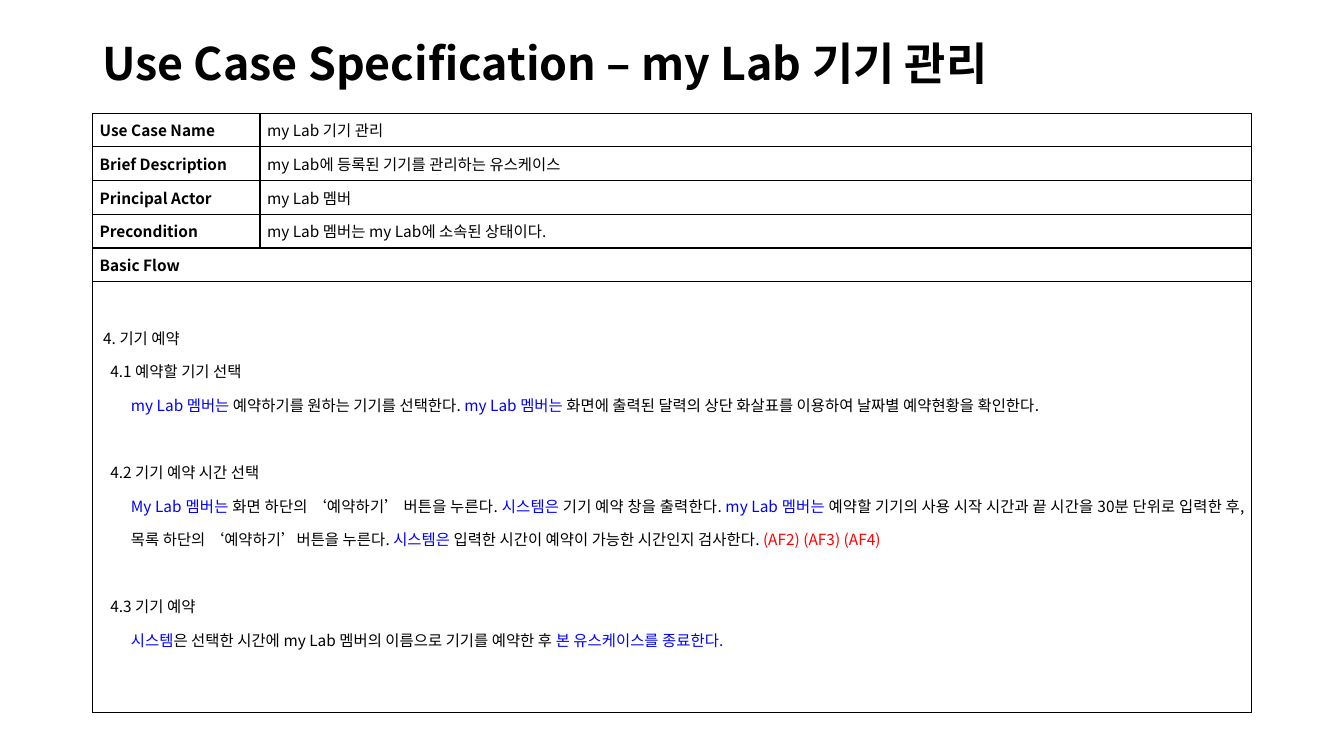
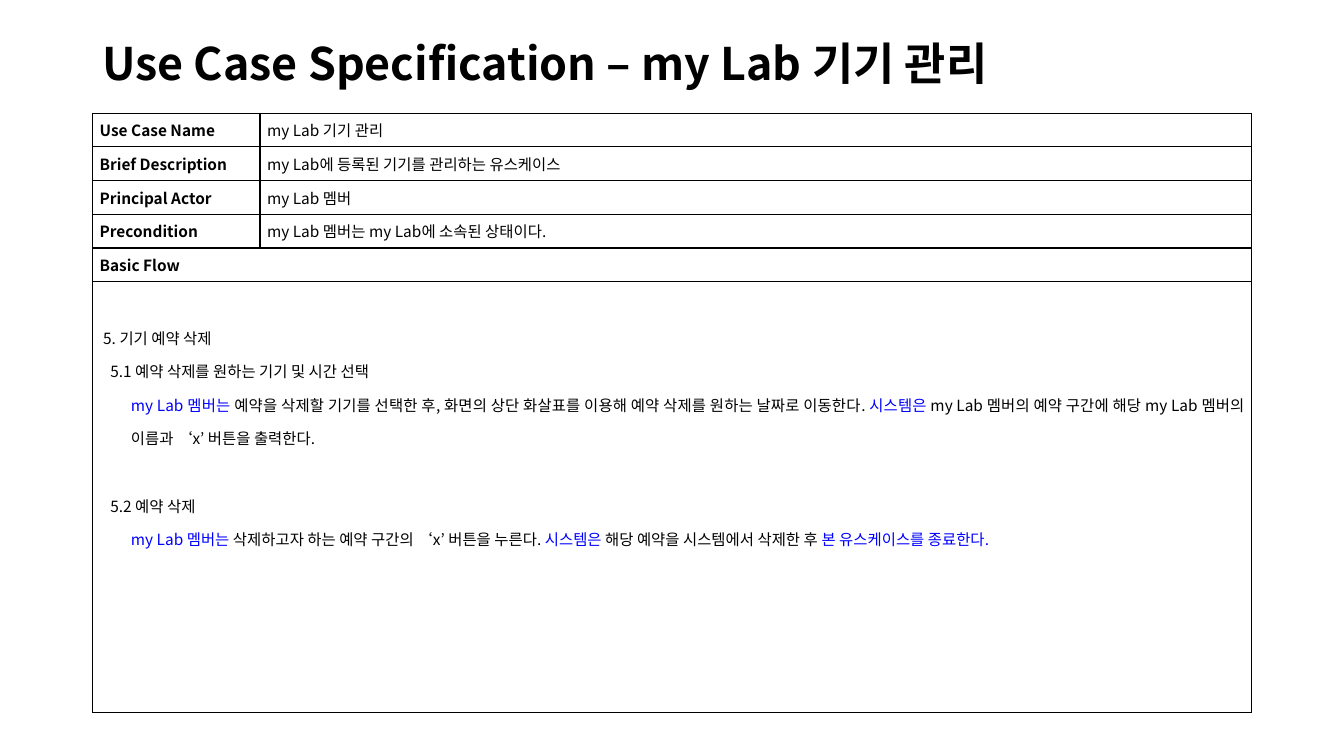
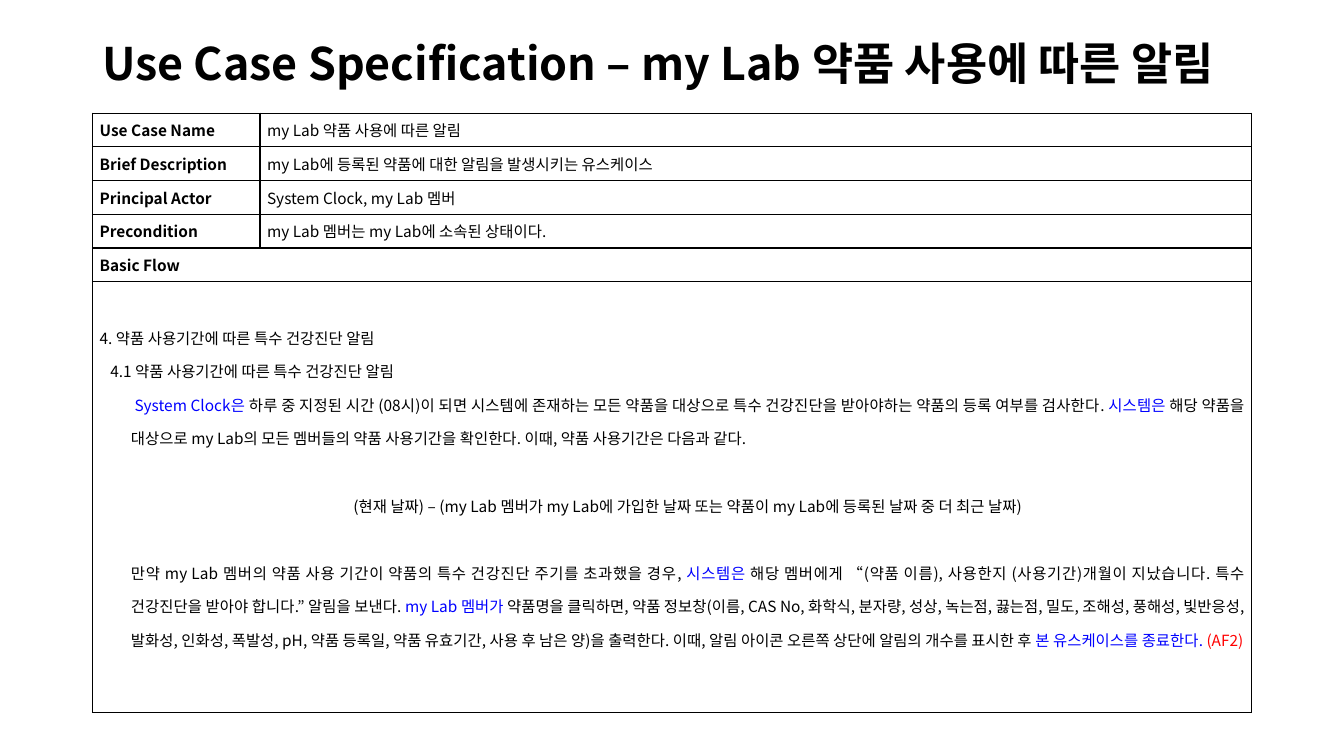
from dataclasses import dataclass
from typing import NamedTuple

from lxml.etree import SubElement
from pptx import Presentation
from pptx.dml.color import RGBColor
from pptx.enum.text import MSO_ANCHOR, PP_ALIGN
from pptx.oxml.ns import qn
from pptx.slide import Slide
from pptx.table import _Cell
from pptx.text.text import _Paragraph, _Run
from pptx.util import Cm, Pt

BLACK = RGBColor(0x00, 0x00, 0x00)
BLUE = RGBColor(0x00, 0x00, 0xFF)
RED = RGBColor(0xFF, 0x00, 0x00)

FONT = "Noto Sans CJK KR"
TITLE_SIZE, BODY_SIZE = Pt(32), Pt(11)
LINE_GAP = Pt(24)
LEFT, WIDTH = Cm(2.33), Cm(29.21)
TITLE_TOP, TITLE_HEIGHT = Cm(1.02), Cm(1.27)
TABLE_TOP = Cm(2.85)
LABEL_WIDTH = Cm(4.22)
FIELD_HEIGHT, FLOW_HEIGHT = Cm(0.85), Cm(10.86)
CELL_INSET = Cm(0.18)
SECTION_INDENT, STEP_INDENT, DETAIL_INDENT = Cm(0.09), Cm(0.27), Cm(0.79)
LABELS = ("Use Case Name", "Brief Description", "Principal Actor", "Precondition")


class Phrase(NamedTuple):
    """A stretch of text in one colour."""
    text: str
    color: RGBColor = BLACK


@dataclass(frozen=True)
class FlowLine:
    """One paragraph of the basic flow."""
    phrases: tuple[Phrase, ...]
    indent: int = DETAIL_INDENT
    first_line: int = 0
    gap_before: bool = False
    align: PP_ALIGN = PP_ALIGN.JUSTIFY


@dataclass(frozen=True)
class UseCase:
    """The heading fields of a use case."""
    name: str
    description: str
    actor: str
    precondition: str = "my Lab 멤버는 my Lab에 소속된 상태이다."


def section(text: str, indent: int = SECTION_INDENT) -> FlowLine:
    """Return a numbered section heading."""
    return FlowLine((Phrase(text),), indent)


def step(text: str, gap_before: bool = True) -> FlowLine:
    """Return a numbered step heading."""
    return FlowLine((Phrase(text),), STEP_INDENT, gap_before=gap_before)


def detail(*phrases: Phrase, first_line: int = 0, gap_before: bool = False) -> FlowLine:
    """Return the description of a step."""
    return FlowLine(phrases, first_line=first_line, gap_before=gap_before)


MEMBER = Phrase("my Lab 멤버는 ", BLUE)
SYSTEM = Phrase("시스템은 ", BLUE)
END = Phrase("본 유스케이스를 종료한다.", BLUE)

DEVICES = UseCase("my Lab 기기 관리", "my Lab에 등록된 기기를 관리하는 유스케이스", "my Lab 멤버")
ALERTS = UseCase("my Lab 약품 사용에 따른 알림",
                 "my Lab에 등록된 약품에 대한 알림을 발생시키는 유스케이스",
                 "System Clock, my Lab 멤버")

RESERVE = (
    section("4. 기기 예약"),
    step("4.1 예약할 기기 선택", gap_before=False),
    detail(MEMBER, Phrase("예약하기를 원하는 기기를 선택한다. "), MEMBER,
           Phrase("화면에 출력된 달력의 상단 화살표를 이용하여 날짜별 예약현황을 확인한다.")),
    step("4.2 기기 예약 시간 선택"),
    detail(Phrase("My Lab 멤버는 ", BLUE),
           Phrase("화면 하단의 ‘예약하기’ 버튼을 누른다. "), SYSTEM,
           Phrase("기기 예약 창을 출력한다. "), MEMBER,
           Phrase("예약할 기기의 사용 시작 시간과 끝 시간을 30분 단위로 입력한 후, "
                  "목록 하단의 ‘예약하기’버튼을 누른다. "), SYSTEM,
           Phrase("입력한 시간이 예약이 가능한 시간인지 검사한다. "),
           Phrase("(AF2) (AF3) (AF4)", RED)),
    step("4.3 기기 예약"),
    detail(Phrase("시스템", BLUE),
           Phrase("은 선택한 시간에 my Lab 멤버의 이름으로 기기를 예약한 후 "), END),
)

CANCEL = (
    section("5. 기기 예약 삭제"),
    step("5.1 예약 삭제를 원하는 기기 및 시간 선택", gap_before=False),
    detail(MEMBER,
           Phrase("예약을 삭제할 기기를 선택한 후, 화면의 상단 화살표를 이용해 "
                  "예약 삭제를 원하는 날짜로 이동한다. "), SYSTEM,
           Phrase("my Lab 멤버의 예약 구간에 해당 my Lab 멤버의 이름과 ‘x’ 버튼을 출력한다.")),
    step("5.2 예약 삭제"),
    detail(MEMBER, Phrase("삭제하고자 하는 예약 구간의 ‘x’ 버튼을 누른다. "), SYSTEM,
           Phrase("해당 예약을 시스템에서 삭제한 후 "), END),
)

CHECKUP = (
    section("4. 약품 사용기간에 따른 특수 건강진단 알림", indent=0),
    step("4.1 약품 사용기간에 따른 특수 건강진단 알림", gap_before=False),
    detail(Phrase("System Clock은 ", BLUE),
           Phrase("하루 중 지정된 시간 (08시)이 되면 시스템에 존재하는 모든 약품을 대상으로 "
                  "특수 건강진단을 받아야하는 약품의 등록 여부를 검사한다. "), SYSTEM,
           Phrase("해당 약품을 대상으로 my Lab의 모든 멤버들의 약품 사용기간을 확인한다. "
                  "이때, 약품 사용기간은 다음과 같다."),
           first_line=SECTION_INDENT),
    FlowLine((Phrase("(현재 날짜) – (my Lab 멤버가 my Lab에 가입한 날짜 또는 "
                     "약품이 my Lab에 등록된 날짜 중 더 최근 날짜)"),),
             gap_before=True, align=PP_ALIGN.CENTER),
    detail(Phrase("만약 my Lab 멤버의 약품 사용 기간이 약품의 특수 건강진단 주기를 초과했을 경우, "),
           SYSTEM,
           Phrase("해당 멤버에게 “(약품 이름), 사용한지 (사용기간)개월이 지났습니다. "
                  "특수 건강진단을 받아야 합니다.” 알림을 보낸다. "),
           Phrase("my Lab 멤버가 ", BLUE),
           Phrase("약품명을 클릭하면, 약품 정보창(이름, CAS No, 화학식, 분자량, 성상, 녹는점, "
                  "끓는점, 밀도, 조해성, 풍해성, 빛반응성, 발화성, 인화성, 폭발성, pH, "
                  "약품 등록일, 약품 유효기간, 사용 후 남은 양)을 출력한다. "
                  "이때, 알림 아이콘 오른쪽 상단에 알림의 개수를 표시한 후 "),
           END, Phrase(" (AF2)", RED), gap_before=True),
)


def style_run(run: _Run, size: int, bold: bool = False, color: RGBColor = BLACK) -> None:
    """Apply the shared font to Latin and Korean text."""
    run.font.name = FONT
    run.font.size = size
    run.font.bold = bold
    run.font.color.rgb = color
    SubElement(run.font._element, qn("a:ea"), typeface=FONT)


def add_title(slide: Slide, name: str) -> None:
    """Write the slide title."""
    frame = slide.shapes.add_textbox(LEFT, TITLE_TOP, WIDTH, TITLE_HEIGHT).text_frame
    frame.word_wrap = True
    frame.vertical_anchor = MSO_ANCHOR.MIDDLE
    frame.text = f"Use Case Specification – {name}"
    heading = frame.paragraphs[0]
    heading.line_spacing = 0.9
    style_run(heading.runs[0], TITLE_SIZE, bold=True)


def style_cell(cell: _Cell) -> None:
    """Give a cell black borders, no fill and narrow insets."""
    properties = cell._tc.get_or_add_tcPr()
    for side in ("lnL", "lnR", "lnT", "lnB"):
        border = SubElement(properties, qn(f"a:{side}"), w=str(Pt(1)))
        SubElement(SubElement(border, qn("a:solidFill")), qn("a:srgbClr"), val=str(BLACK))
    cell.fill.background()
    cell.margin_left = cell.margin_right = CELL_INSET
    cell.margin_top = cell.margin_bottom = 0
    cell.vertical_anchor = MSO_ANCHOR.MIDDLE


def write_field(cell: _Cell, text: str, bold: bool = False) -> None:
    """Write a one-line label or value."""
    cell.text_frame.text = text
    line = cell.text_frame.paragraphs[0]
    line.alignment = PP_ALIGN.JUSTIFY
    style_run(line.runs[0], BODY_SIZE, bold)


def write_flow_line(paragraph: _Paragraph, line: FlowLine) -> None:
    """Write one paragraph of the basic flow."""
    paragraph.alignment = line.align
    paragraph.line_spacing = 1.5
    if line.gap_before:
        paragraph.space_before = LINE_GAP
    indents = paragraph._p.get_or_add_pPr()
    indents.set("marL", str(line.indent))
    indents.set("indent", str(line.first_line))
    for phrase in line.phrases:
        run = paragraph.add_run()
        run.text = phrase.text
        style_run(run, BODY_SIZE, color=phrase.color)


def write_flow(cell: _Cell, flow: tuple[FlowLine, ...]) -> None:
    """Fill the basic flow cell."""
    cell.vertical_anchor = MSO_ANCHOR.TOP
    cell.margin_top = LINE_GAP
    frame = cell.text_frame
    for index, line in enumerate(flow):
        write_flow_line(frame.add_paragraph() if index else frame.paragraphs[0], line)


def add_specification(slide: Slide, use_case: UseCase, flow: tuple[FlowLine, ...]) -> None:
    """Draw the specification table."""
    heights = [FIELD_HEIGHT] * (len(LABELS) + 1) + [FLOW_HEIGHT]
    table = slide.shapes.add_table(len(heights), 2, LEFT, TABLE_TOP, WIDTH, sum(heights)).table
    table.first_row = table.horz_banding = False
    table.columns[0].width = LABEL_WIDTH
    table.columns[1].width = WIDTH - LABEL_WIDTH
    for row, height in zip(table.rows, heights):
        row.height = height
        for cell in row.cells:
            style_cell(cell)

    values = (use_case.name, use_case.description, use_case.actor, use_case.precondition)
    for index, (label, value) in enumerate(zip(LABELS, values)):
        write_field(table.cell(index, 0), label, bold=True)
        write_field(table.cell(index, 1), value)

    flow_row = len(heights) - 1
    for index in (flow_row - 1, flow_row):
        table.cell(index, 0).merge(table.cell(index, 1))
    write_field(table.cell(flow_row - 1, 0), "Basic Flow", bold=True)
    write_flow(table.cell(flow_row, 0), flow)


def main() -> None:
    """Build the presentation."""
    deck = Presentation()
    deck.slide_width, deck.slide_height = Cm(33.87), Cm(19.05)
    for use_case, flow in ((DEVICES, RESERVE), (DEVICES, CANCEL), (ALERTS, CHECKUP)):
        slide = deck.slides.add_slide(deck.slide_layouts[6])
        add_title(slide, use_case.name)
        add_specification(slide, use_case, flow)
    deck.save("out.pptx")


main()
